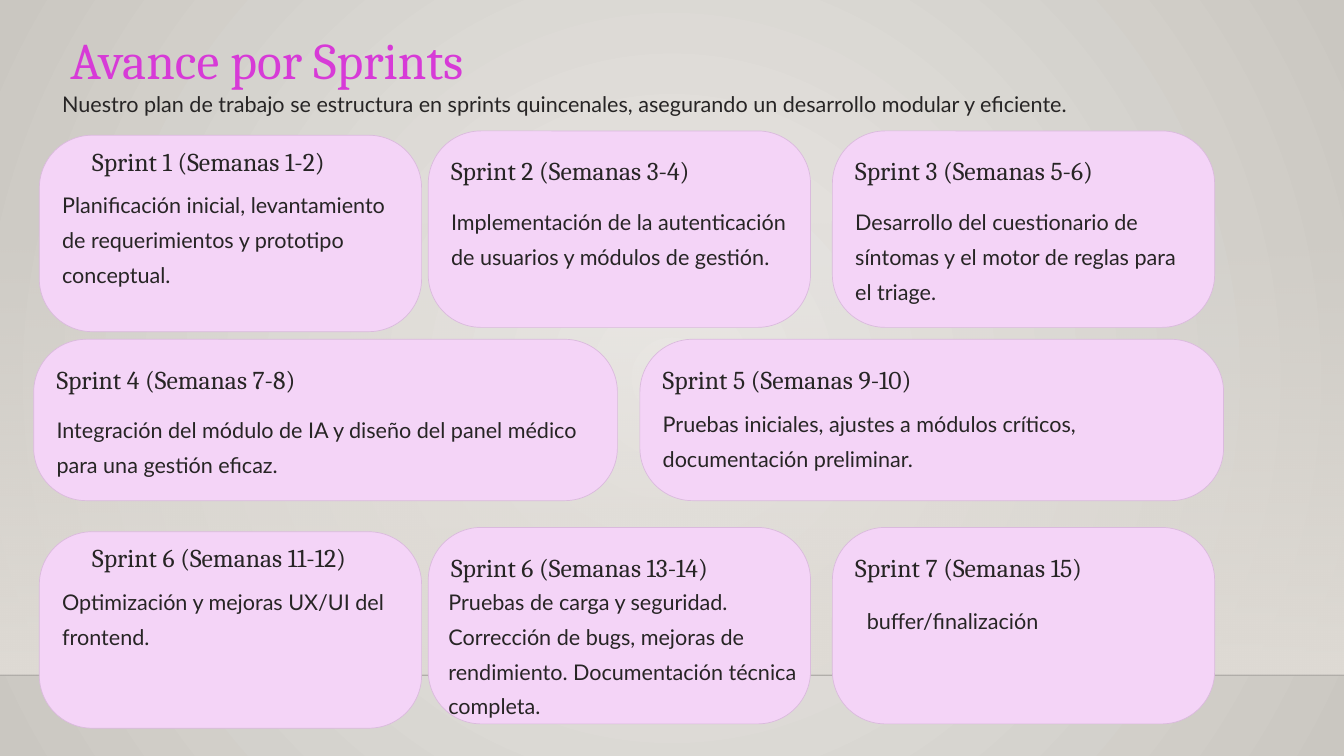
from lxml import etree
from pptx import Presentation
from pptx.dml.color import RGBColor
from pptx.enum import shapes, text
from pptx.oxml import ns
from pptx.util import Cm, Pt

COLORS = {
    "title": "D73AD7", "text": "272525", "card": "F4D4F7", "border": "DABADD",
    "center": "ECEAE7", "edge": "CAC7C1", "veil": "DFDBD5", "floor": "000001",
}
SLIDE_WIDTH, SLIDE_HEIGHT = 40.64, 22.86
FLOOR_TOP = 20.42
PADDING = 0.69
HEADING_WIDTH, HEADING_HEIGHT = 8.38, 0.97
LINE_HEIGHT = 1.07
INSET = (PADDING, PADDING)
RAISED = (1.6, 0.28)

SMALL, WIDE = (11.56, 5.94, 0.269), (17.65, 4.88, 0.327)
# left, top, size, heading offset, heading, body offset, body width, body lines, body
CARDS = [
    (1.19, 4.09, SMALL, RAISED, "Sprint 1 (Semanas 1-2)", (PADDING, 1.45), 10.18, 3,
     "Planificación inicial, levantamiento de requerimientos y prototipo conceptual."),
    (12.95, 3.96, SMALL, INSET, "Sprint 2 (Semanas 3-4)", (PADDING, 2.08), 10.18, 2,
     "Implementación de la autenticación de usuarios y módulos de gestión."),
    (25.17, 3.96, SMALL, INSET, "Sprint 3 (Semanas 5-6)", (PADDING, 2.08), 10.18, 3,
     "Desarrollo del cuestionario de síntomas y el motor de reglas para el triage."),
    (1.02, 10.26, WIDE, INSET, "Sprint 4 (Semanas 7-8)", (PADDING, 2.06), 16.27, 2,
     "Integración del módulo de IA y diseño del panel médico para una gestión eficaz."),
    (19.35, 10.26, WIDE, INSET, "Sprint 5 (Semanas 9-10)", (PADDING, 1.88), 16.27, 2,
     "Pruebas iniciales, ajustes a módulos críticos, documentación preliminar."),
    (1.19, 16.08, SMALL, RAISED, "Sprint 6 (Semanas 11-12)", (PADDING, 1.45), 10.18, 3,
     "Optimización y mejoras UX/UI del frontend."),
    (12.95, 15.95, SMALL, INSET, "Sprint 6 (Semanas 13-14)", (0.61, 1.57), 10.8, 4,
     "Pruebas de carga y seguridad. Corrección de bugs, mejoras de rendimiento. "
     "Documentación técnica completa."),
    (25.17, 15.95, SMALL, INSET, "Sprint 7 (Semanas 15)", (1.04, 2.16), 8.38, 2,
     "buffer/finalización"),
]


def rgb(name):
    return RGBColor.from_string(COLORS[name])


def add_child(parent, tag, **attributes):
    return etree.SubElement(parent, ns.qn(tag), attributes)


def set_gradient(fill, properties, first, last):
    """Fill with two colours and return the gradient element without its direction."""
    fill.gradient()
    for stop, name, position in zip(fill.gradient_stops, (first, last), (0, 1)):
        stop.color.rgb = rgb(name)
        stop.position = position
    gradient = properties.find(".//" + ns.qn("a:gradFill"))
    gradient.remove(gradient.find(ns.qn("a:lin")))
    return gradient


def add_backdrop(slide):
    """Radial background, a veil that thickens downwards and the floor line."""
    background = slide.background
    gradient = set_gradient(background.fill, slide.element, "center", "edge")
    radial = add_child(gradient, "a:path")
    radial.set("path", "circle")
    add_child(radial, "a:fillToRect", l="50000", t="50000", r="50000", b="50000")

    veil = slide.shapes.add_shape(shapes.MSO_SHAPE.RECTANGLE, 0, Cm(6.73),
                                  Cm(SLIDE_WIDTH), Cm(FLOOR_TOP - 6.73))
    veil.shadow.inherit = False
    veil.line.fill.background()
    gradient = set_gradient(veil.fill, veil.element, "veil", "veil")
    add_child(gradient.find(".//" + ns.qn("a:srgbClr")), "a:alpha", val="0")
    add_child(gradient, "a:lin", ang="5400000", scaled="0")

    floor = slide.shapes.add_connector(shapes.MSO_CONNECTOR.STRAIGHT, 0, Cm(FLOOR_TOP),
                                       Cm(SLIDE_WIDTH), Cm(FLOOR_TOP))
    floor.line.width = Pt(1)
    floor.line.color.rgb = rgb("floor")
    properties = floor.element.spPr
    add_child(properties.find(".//" + ns.qn("a:srgbClr")), "a:alpha", val="20000")
    add_child(properties, "a:effectLst")


def add_text(slide, box, content, font, size, spacing, color="text", wrap=False):
    frame = slide.shapes.add_textbox(*map(Cm, box)).text_frame
    frame.word_wrap = wrap
    frame.vertical_anchor = text.MSO_ANCHOR.TOP
    frame.margin_left = frame.margin_top = frame.margin_right = frame.margin_bottom = 0
    paragraph = frame.paragraphs[0]
    paragraph.line_spacing = Pt(spacing)
    run = paragraph.add_run()
    run.text = content
    run.font.name = font
    run.font.size = Pt(size)
    run.font.color.rgb = rgb(color)


def add_header(slide, left, top):
    add_text(slide, (left + 0.25, top, 15.65, 1.96), "Avance por Sprints",
             "Cambria", 44, 55, "title")
    add_text(slide, (left, top + 1.7, 36, LINE_HEIGHT),
             "Nuestro plan de trabajo se estructura en sprints quincenales, "
             "asegurando un desarrollo modular y eficiente.", "Lato", 18.5, 30)


def add_card(slide, left, top, size, heading_offset, heading,
             body_offset, body_width, body_lines, body):
    width, height, rounding = size
    card = slide.shapes.add_shape(shapes.MSO_SHAPE.ROUNDED_RECTANGLE,
                                  Cm(left), Cm(top), Cm(width), Cm(height))
    card.adjustments[0] = rounding
    card.shadow.inherit = False
    card.fill.solid()
    card.fill.fore_color.rgb = rgb("card")
    card.line.color.rgb = rgb("border")
    card.line.width = Pt(0.6)
    add_text(slide, (left + heading_offset[0], top + heading_offset[1],
                     HEADING_WIDTH, HEADING_HEIGHT), heading, "Cambria", 22, 27.5)
    add_text(slide, (left + body_offset[0], top + body_offset[1],
                     body_width, body_lines * LINE_HEIGHT), body, "Lato", 18.5, 30, wrap=True)


def main():
    presentation = Presentation()
    presentation.slide_width = Cm(SLIDE_WIDTH)
    presentation.slide_height = Cm(SLIDE_HEIGHT)
    slide = presentation.slides.add_slide(presentation.slide_layouts[6])
    add_backdrop(slide)
    add_header(slide, 1.88, 0.79)
    for card in CARDS:
        add_card(slide, *card)
    presentation.save("out.pptx")


if __name__ == "__main__":
    main()
